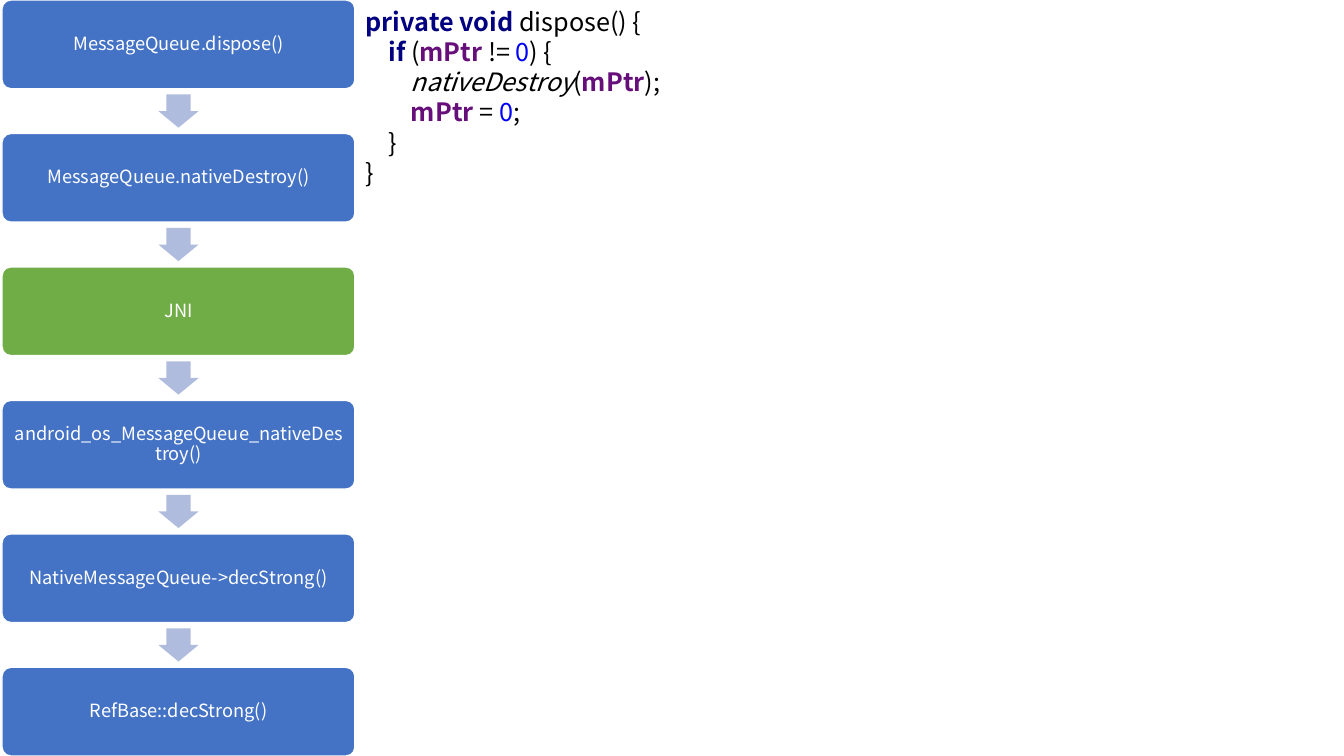
from dataclasses import dataclass

from pptx import Presentation
from pptx.dml.color import RGBColor as RGB
from pptx.enum.shapes import MSO_SHAPE as SHAPE
from pptx.enum.text import MSO_ANCHOR as ANCHOR, MSO_AUTO_SIZE as AUTO, PP_ALIGN as ALIGN
from pptx.util import Inches, Pt


@dataclass(frozen=True)
class Theme:
    """Colours, font and type sizes."""
    font: str = "Noto Sans CJK SC"
    step_size: int = 13
    code_size: int = 18
    blue: str = "4472C4"
    green: str = "70AD47"
    arrow: str = "B0BCDE"
    white: str = "FFFFFF"
    black: str = "000000"
    keyword: str = "000080"
    field: str = "660E7A"
    number: str = "0000FF"


def add_text(p, text, *, font, size, color, bold=False, italic=False):
    """Append formatted text to a paragraph, breaking at newlines."""
    for i, part in enumerate(text.split("\n")):
        if i:
            p.add_line_break()
        if part:
            r = p.add_run()
            r.text = part
            r.font.name, r.font.size = font, Pt(size)
            r.font.bold, r.font.italic = bold, italic
            r.font.color.rgb = RGB.from_string(color)


class SlideBuilder:
    """Draws themed elements on one slide."""

    def __init__(self, s, theme):
        """Keep the slide and its theme."""
        self.s, self.theme = s, theme

    def shape(self, kind, x, y, w, h, fill, line=None):
        """Add a filled shape without shadow."""
        sp = self.s.shapes.add_shape(kind, Inches(x), Inches(y), Inches(w), Inches(h))
        sp.shadow.inherit = False
        sp.fill.solid()
        sp.fill.fore_color.rgb = RGB.from_string(fill)
        if line:
            sp.line.color.rgb = RGB.from_string(line)
            sp.line.width = Pt(1)
        else:
            sp.line.fill.background()
        return sp

    def step(self, x, y, w, h, text, fill):
        """Add a rounded step box with a centred label."""
        t = self.theme
        sp = self.shape(SHAPE.ROUNDED_RECTANGLE, x, y, w, h, fill, t.white)
        sp.adjustments[0] = 0.1
        tf = sp.text_frame
        tf.word_wrap, tf.vertical_anchor = True, ANCHOR.MIDDLE
        tf.margin_left = tf.margin_right = Inches(0.07)
        tf.margin_top = tf.margin_bottom = Inches(0.05)
        p = tf.paragraphs[0]
        p.alignment, p.line_spacing = ALIGN.CENTER, 0.9
        add_text(p, text, font=t.font, size=t.step_size, color=t.white)

    def down_arrow(self, cx, cy, length, breadth):
        """Add a block arrow pointing down, centred on a point."""
        sp = self.shape(SHAPE.RIGHT_ARROW, cx - length / 2, cy - breadth / 2,
                        length, breadth, self.theme.arrow)
        sp.rotation = 90
        sp.adjustments[0], sp.adjustments[1] = 0.6, 0.5

    def code(self, x, y, w, h, tokens):
        """Add a code block from (text, format) tokens."""
        t = self.theme
        tf = self.shape(SHAPE.RECTANGLE, x, y, w, h, t.white).text_frame
        tf.word_wrap, tf.auto_size = False, AUTO.SHAPE_TO_FIT_TEXT
        tf.vertical_anchor = ANCHOR.MIDDLE
        p = tf.paragraphs[0]
        p.alignment = ALIGN.LEFT
        for text, style in tokens:
            add_text(p, text, font=t.font, size=t.code_size, **style)


def main():
    """Build the call chain and its code listing."""
    prs = Presentation()
    prs.slide_width, prs.slide_height = Inches(13.33), Inches(7.5)
    t = Theme()
    b = SlideBuilder(prs.slides.add_slide(prs.slide_layouts[6]), t)

    steps = ["MessageQueue.dispose()", "MessageQueue.nativeDestroy()", "JNI",
             "android_os_MessageQueue_nativeDestroy()",
             "NativeMessageQueue->decStrong()", "RefBase::decStrong()"]
    x, w, h = 0.02, 3.5, 0.88
    pitch = (7.5 - h) / (len(steps) - 1)
    for i, text in enumerate(steps):
        y = i * pitch
        if i:
            b.down_arrow(x + w / 2, y - (pitch - h) / 2, 0.33, 0.4)
        b.step(x, y, w, h, text, t.green if text == "JNI" else t.blue)

    plain = dict(color=t.black)
    keyword = dict(color=t.keyword, bold=True)
    field = dict(color=t.field, bold=True)
    number = dict(color=t.number)
    call = dict(color=t.black, italic=True)
    b.code(3.53, 0, 3.74, 1.92, [
        ("private void ", keyword), ("dispose() {\n    ", plain),
        ("if ", keyword), ("(", plain), ("mPtr ", field), ("!= ", plain),
        ("0", number), (") {\n        ", plain),
        ("nativeDestroy", call), ("(", plain), ("mPtr", field),
        (");\n        ", plain),
        ("mPtr ", field), ("= ", plain), ("0", number), (";\n    }\n}", plain),
    ])
    prs.save("out.pptx")


if __name__ == "__main__":
    main()
